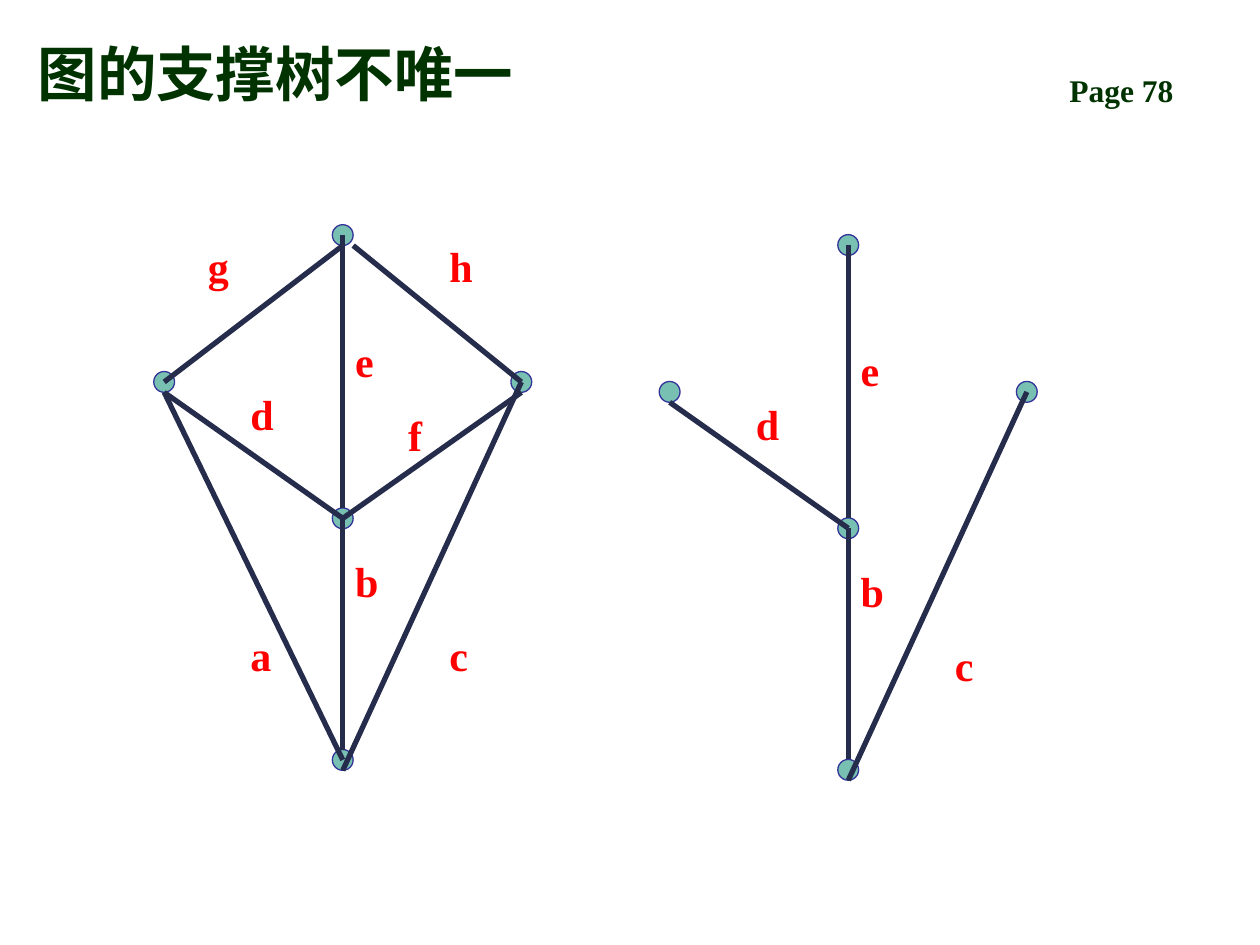
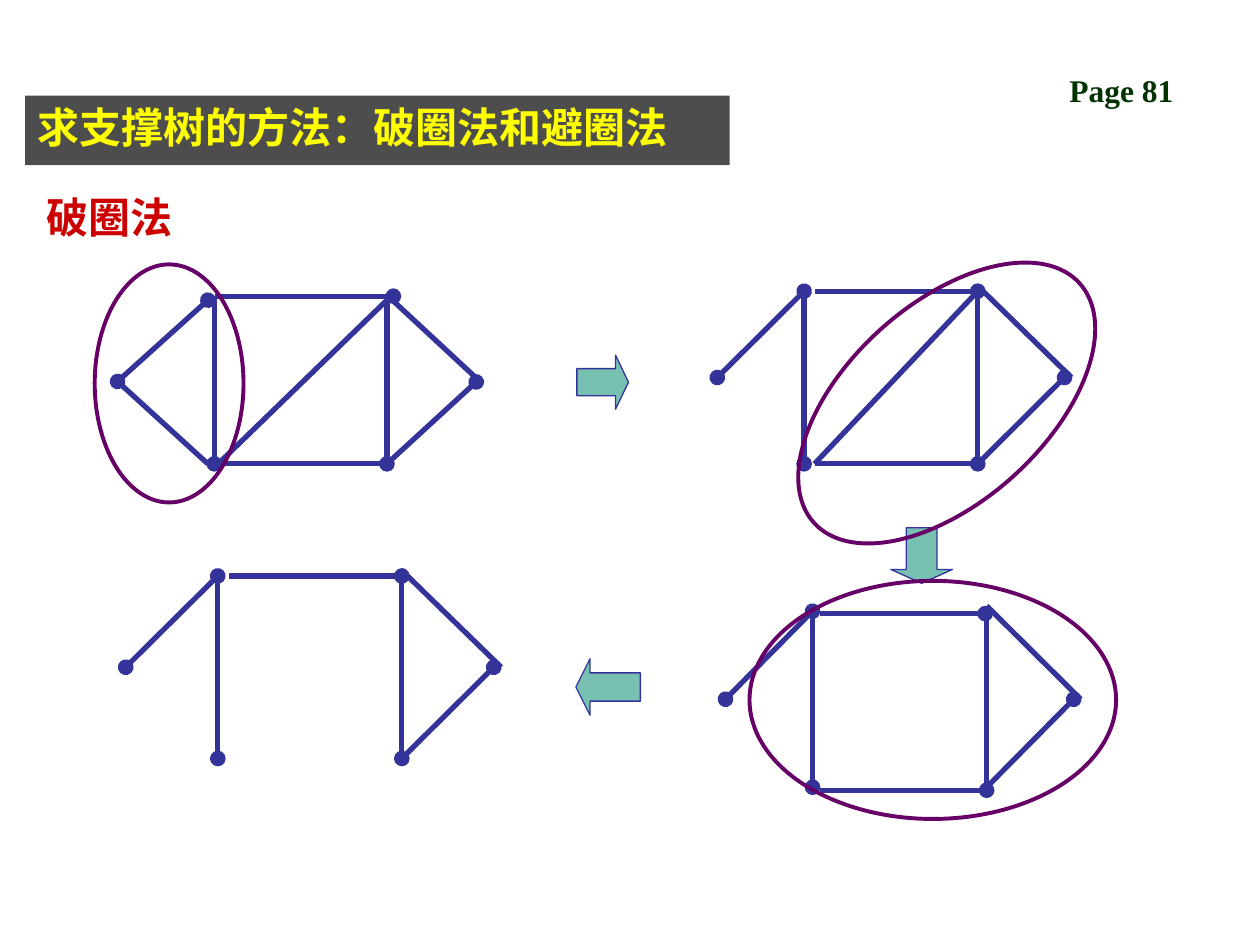
import pptx
import pptx.util
import pptx.dml.color
import pptx.enum.shapes
import pptx.enum.text
import pptx.oxml.ns
from lxml import etree

Cm, Pt = pptx.util.Cm, pptx.util.Pt
KIND = pptx.enum.shapes.MSO_SHAPE
ANCHOR = pptx.enum.text.MSO_ANCHOR
qn = pptx.oxml.ns.qn

# Shared style
FONT = "Times New Roman"
HEX = {"green": "003300", "red": "FF0000", "crimson": "CC0000",
       "yellow": "FFFF00", "gray": "4D4D4D", "teal": "78C0B2",
       "blue": "333399", "navy": "262D4C", "purple": "660066"}

# Slide 1: node centres, edges and edge labels (cm)
RAD = 0.21
NODES = {"top": (6.91, 4.74), "right": (10.51, 7.7), "left": (3.31, 7.7),
         "mid": (6.91, 10.45), "low": (6.91, 15.32)}
# edge: node, shift in radii, node, shift in radii
EDGES = {"g": ("left", (0, 0), "top", (0, 1)),
         "h": ("top", (1, 1), "right", (0, 0)),
         "e": ("top", (0, 0), "mid", (0, -1)),
         "d": ("left", (0, 1), "mid", (0, 0)),
         "f": ("right", (0, 1), "mid", (0, 0)),
         "b": ("mid", (0, 0), "low", (0, -1)),
         "a": ("left", (0, 1), "low", (0, 0)),
         "c": ("right", (0, 0), "low", (0, 1))}
LABELS = {"a": (4.8, 12.57), "b": (6.91, 11.07), "c": (8.81, 12.57),
          "f": (7.98, 8.13), "e": (6.91, 6.63), "d": (4.8, 7.7),
          "h": (8.81, 4.72), "g": (3.94, 4.72)}
TREES = [("debc", 10.19, 0.2), ("ghedfbac", 0, 0)]   # edges kept, offset

# Slide 2: edges in units of the square's side, with their oval ends
SIDES = {"arm": (-0.5, 0.5, 0, 0, ("headEnd", "tailEnd")),
         "post": (0, 0, 0, 1, ("tailEnd",)),
         "chin": (-0.5, 0.5, 0, 1, ()),
         "roof": (0.06, 0, 1, 0, ("tailEnd",)),
         "wall": (1, 0, 1, 1, ("tailEnd",)),
         "low": (1, 1, 1.5, 0.5, ("tailEnd",)),
         "high": (1.54, 0.5, 1, -0.03, ()),
         "floor": (0.06, 1, 1, 1, ()),
         "slash": (0.06, 1, 1, 0, ())}
# corner, side lengths, edges cut, small shifts of ends (cm)
STEPS = [
    ((4.32, 5.97), (3.48, 3.38), (),
     {"arm": (-0.21, 0.03, -0.13, 0.08), "chin": (-0.21, 0.03, -0.13, 0),
      "roof": (-0.2, 0, 0.13, 0), "wall": (0, 0.08, 0, 0),
      "low": (0, 0, 0.06, 0.04), "high": (0.05, 0.08, 0, 0.08),
      "floor": (-0.13, 0, 0, 0), "slash": (-0.13, 0, 0, 0.08)}),
    ((16.21, 5.87), (3.5, 3.48), ("chin",), {}),
    ((16.38, 12.32), (3.51, 3.55), ("chin", "slash"),
     {"roof": (-0.05, 0.05, -0.03, 0.05), "wall": (0, 0.05, 0, 0.06),
      "floor": (-0.05, 0.06, -0.03, 0.06)}),
    ((4.39, 11.61), (3.71, 3.68), ("chin", "slash", "floor"), {}),
]
ARROWS = [(KIND.RIGHT_ARROW, (11.63, 7.16, 1.04, 1.09)),
          (KIND.DOWN_ARROW, (17.96, 10.64, 1.24, 1.12)),
          (KIND.LEFT_ARROW, (11.61, 13.28, 1.3, 1.14))]
RINGS = [((1.91, 5.33, 3, 4.8), 0), ((17.09, 4.52, 3.99, 7.21), 48),
         ((15.11, 11.71, 7.39, 4.8), 0)]


def tint(name):
    return pptx.dml.color.RGBColor.from_string(HEX[name])


def shape(slide, kind, box, fill=None, line=None, width=0.75):
    form = slide.shapes.add_shape(kind, *map(Cm, box))
    form.shadow.inherit = False
    if fill:
        form.fill.solid()
        form.fill.fore_color.rgb = tint(fill)
    else:
        form.fill.background()
    if line:
        form.line.color.rgb = tint(line)
        form.line.width = Pt(width)
    else:
        form.line.fill.background()
    return form


def write(form, words, size, color, anchor=ANCHOR.TOP):
    frame = form.text_frame
    frame.word_wrap = True
    frame.vertical_anchor = anchor
    para = frame.paragraphs[0]
    para.alignment = pptx.enum.text.PP_ALIGN.LEFT
    run = para.add_run()
    run.text = words
    run.font.name, run.font.size, run.font.bold = FONT, Pt(size), True
    run.font.color.rgb = tint(color)


def text(slide, box, *style):
    write(slide.shapes.add_textbox(*map(Cm, box)), *style)


def line(slide, ends, color, ovals=()):
    link = slide.shapes.add_connector(
        pptx.enum.shapes.MSO_CONNECTOR.STRAIGHT, *map(Cm, ends))
    link.line.color.rgb = tint(color)
    link.line.width = Pt(3)
    props = link.element.spPr
    for end in ovals:
        etree.SubElement(props.find(qn("a:ln")), qn("a:" + end), type="oval")
    etree.SubElement(props, qn("a:effectLst"))


def page(deck, number):
    slide = deck.slides.add_slide(deck.slide_layouts[6])
    text(slide, (21.31, 1.3, 3.61, 1.02), f"Page {number}", 18, "green")
    return slide


def graph(slide, kept, dx, dy):
    for x, y in NODES.values():
        shape(slide, KIND.OVAL, (x + dx - RAD, y + dy - RAD, 2 * RAD, 2 * RAD),
              "teal", "blue")
    for name in kept:
        start, near, stop, far = EDGES[name]
        ends = [NODES[node][i] + shift[i] * RAD + (dx, dy)[i]
                for node, shift in ((start, near), (stop, far))
                for i in (0, 1)]
        line(slide, ends, "navy")
    for name in kept:
        x, y = LABELS[name]
        text(slide, (x + dx, y + dy, 1.07, 1.27), name, 24, "red")


def step(slide, corner, size, cut, shifts):
    for name, (*ends, ovals) in SIDES.items():
        if name not in cut:
            shift = shifts.get(name, (0, 0, 0, 0))
            spots = [corner[i % 2] + ends[i] * size[i % 2] + shift[i]
                     for i in range(4)]
            line(slide, spots, "blue", ovals)


def main():
    deck = pptx.Presentation()
    deck.slide_width, deck.slide_height = Cm(25.4), Cm(19.05)

    # Slide 1: a graph and one of its trees
    slide = page(deck, 78)
    text(slide, (0.51, 0.33, 20.4, 1.98), "图的支撑树不唯一", 34, "green",
         ANCHOR.BOTTOM)
    for tree in TREES:
        graph(slide, *tree)

    # Slide 2: breaking cycles step by step
    slide = page(deck, 81)
    band = shape(slide, KIND.RECTANGLE, (0.51, 1.93, 14.2, 1.4), "gray")
    write(band, "求支撑树的方法：破圈法和避圈法", 24, "yellow")
    text(slide, (0.69, 3.73, 3.81, 1.27), "破圈法", 24, "crimson")
    for part in STEPS:
        step(slide, *part)
    for kind, box in ARROWS:
        arrow = shape(slide, kind, box, "teal", "blue")
        arrow.adjustments[0], arrow.adjustments[1] = 0.5, 0.25
    for box, turn in RINGS:
        shape(slide, KIND.OVAL, box, None, "purple", 2.25).rotation = turn

    deck.save("out.pptx")


if __name__ == "__main__":
    main()
